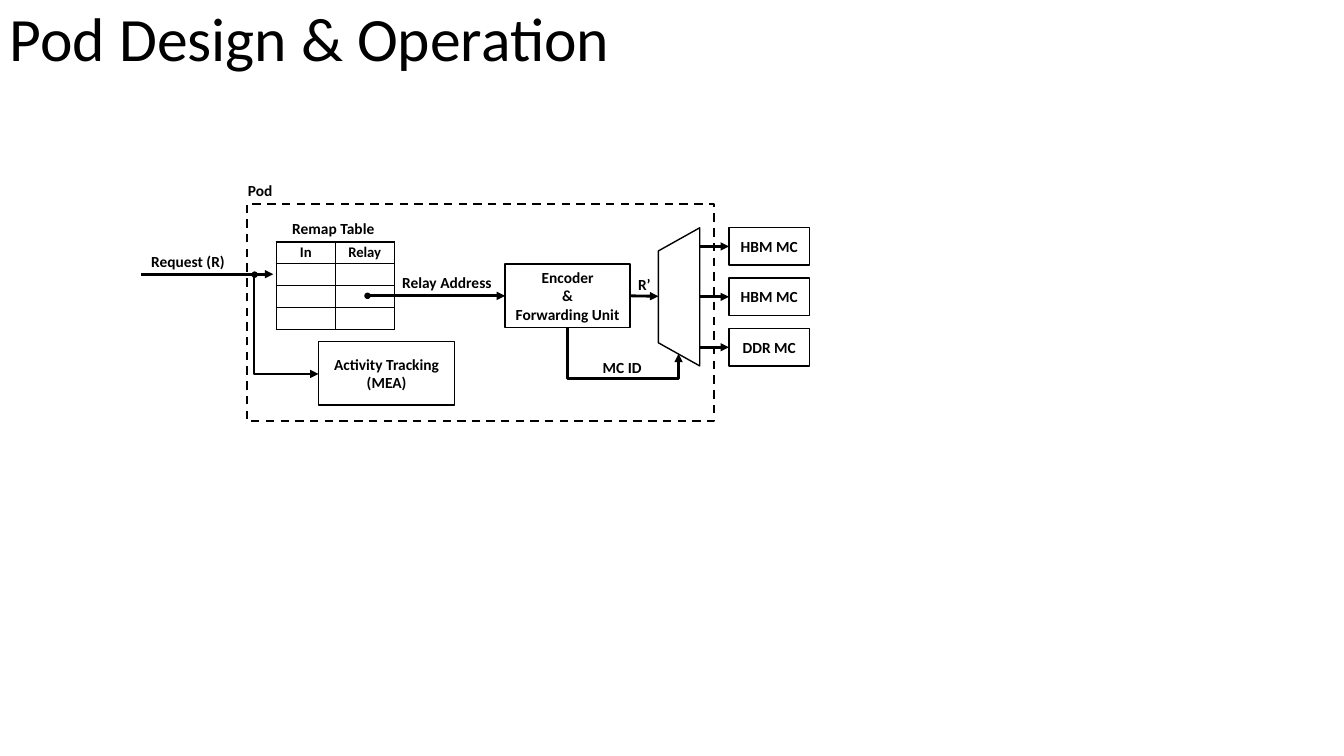
from dataclasses import dataclass
from typing import Optional

from lxml.etree import SubElement
from pptx import Presentation
from pptx.dml.color import RGBColor
from pptx.enum.dml import MSO_LINE_DASH_STYLE as Dash
from pptx.enum.shapes import MSO_CONNECTOR as Conn, MSO_SHAPE as Shape
from pptx.enum.text import MSO_ANCHOR as Anchor, PP_ALIGN as Align
from pptx.oxml import parse_xml
from pptx.oxml.ns import nsdecls, qn
from pptx.util import Inches, Length, Pt

BLACK = RGBColor(0x00, 0x00, 0x00)
FONT = "Calibri"
COLS, ROWS = 133.3, 75
PRS_W, PRS_H = Inches(13.33), Inches(7.5)
LABEL_H = 2.9


@dataclass
class Box:
    col: float
    row: float
    cols: float
    rows: float
    lines: tuple[str, ...] = ()
    kind: Shape = Shape.RECTANGLE
    weight: float = 1
    dashed: bool = False
    filled: bool = False


@dataclass
class Label:
    text: str
    col: float
    row: float
    cols: float


@dataclass
class Arrow:
    start: tuple[float, float]
    end: tuple[float, float]
    source: Optional[str] = None
    target: Optional[str] = None


@dataclass
class Elbow:
    col: float
    row: float
    cols: float
    rows: float
    preset: str
    bend: Optional[int] = None


MC_PITCH = 5
MC_NAMES = ("HBM MC", "HBM MC", "DDR MC")
MC_ROWS = [22.6 + i * MC_PITCH for i in range(len(MC_NAMES))]

BOXES = {
    "tracking": Box(31.6, 33.9, 13.5, 6.3, ("Activity Tracking", "(MEA)")),
    "encoder": Box(50.1, 26.2, 12.4, 6.3, ("Encoder", "&", "Forwarding Unit")),
    **{f"mc{i}": Box(72.3, row, 8, 3.7, (name,))
       for i, (name, row) in enumerate(zip(MC_NAMES, MC_ROWS))},
    "relay dot": Box(36.2, 29.1, 0.5, 0.5, kind=Shape.OVAL, filled=True),
    "request dot": Box(25, 27, 0.5, 0.5, kind=Shape.OVAL, filled=True),
    "pod": Box(24.5, 20.2, 46.3, 21.6, weight=1.5, dashed=True),
}
DEMUX = Box(60.5, 27.4, 13.7, 4.1, kind=Shape.TRAPEZOID)
LABELS = [
    Label("Remap Table", 28, 21.2, 12),
    Label("Request (R)", 14, 24.5, 10.5),
    Label("Relay Address", 38.9, 26.6, 12.4),
    Label("R’", 62.3, 26.8, 4),
    Label("MC ID", 58.8, 35, 6.7),
    Label("Pod", 23.6, 17.5, 10.5),
]
ARROWS = [
    Arrow((14, 27.2), (27.1, 27.2)),
    Arrow((36.7, 29.35), (50.1, 29.35), target="encoder"),
    Arrow((62.5, 29.35), (65.3, 29.4), source="encoder"),
    *(Arrow((69.4, row + 1.85), (72.3, row + 1.85), target=f"mc{i}")
      for i, row in enumerate(MC_ROWS)),
]
ELBOWS = [
    Elbow(23.5, 29, 9.8, 6.4, "bentConnector2"),
    Elbow(60.5, 28.3, 2.6, 11, "bentConnector3", 194500),
]


def x(cols: float) -> Length:
    return Length(round(PRS_W * cols / COLS))


def y(rows: float) -> Length:
    return Length(round(PRS_H * rows / ROWS))


def add_run(p, text: str, size: float, bold: bool = True) -> None:
    r = p.add_run()
    r.text = text
    r.font.name, r.font.size, r.font.bold = FONT, Pt(size), bold
    r.font.color.rgb = BLACK


def draw_box(shapes, box: Box):
    sp = shapes.add_shape(box.kind, x(box.col), y(box.row), x(box.cols), y(box.rows))
    sp.shadow.inherit = False
    if box.filled:
        sp.fill.solid()
        sp.fill.fore_color.rgb = BLACK
    else:
        sp.fill.background()
    sp.line.color.rgb, sp.line.width = BLACK, Pt(box.weight)
    if box.dashed:
        sp.line.dash_style = Dash.DASH
    tf = sp.text_frame
    tf.margin_left = tf.margin_right = 0
    tf.word_wrap, tf.vertical_anchor = True, Anchor.MIDDLE
    for i, line in enumerate(box.lines):
        p = tf.add_paragraph() if i else tf.paragraphs[0]
        p.alignment = Align.CENTER
        add_run(p, line, 11)
    return sp


def draw_label(shapes, label: Label) -> None:
    sp = shapes.add_textbox(x(label.col), y(label.row), x(label.cols), y(LABEL_H))
    sp.text_frame.word_wrap = True
    add_run(sp.text_frame.paragraphs[0], label.text, 11)


def style_arrow(cxn) -> None:
    cxn.line.color.rgb, cxn.line.width = BLACK, Pt(2)
    SubElement(cxn.line._get_or_add_ln(), qn("a:tailEnd"), type="triangle")
    SubElement(cxn._element.spPr, qn("a:effectLst"))


def draw_arrow(shapes, arrow: Arrow, drawn: dict) -> None:
    (c1, r1), (c2, r2) = arrow.start, arrow.end
    cxn = shapes.add_connector(Conn.STRAIGHT, x(c1), y(r1), x(c2), y(r2))
    if arrow.source:
        cxn.begin_connect(drawn[arrow.source], 3)
    if arrow.target:
        cxn.end_connect(drawn[arrow.target], 1)
    style_arrow(cxn)


def draw_elbow(shapes, elbow: Elbow) -> None:
    cxn = shapes.add_connector(Conn.ELBOW, x(elbow.col + elbow.cols), y(elbow.row),
                               x(elbow.col), y(elbow.row + elbow.rows))
    sp_pr = cxn._element.spPr
    sp_pr.find(qn("a:xfrm")).set("rot", str(270 * 60000))
    geom = sp_pr.find(qn("a:prstGeom"))
    geom.set("prst", elbow.preset)
    if elbow.bend:
        SubElement(geom.find(qn("a:avLst")), qn("a:gd"), name="adj1", fmla=f"val {elbow.bend}")
    style_arrow(cxn)


def draw_remap_table(shapes, header: tuple[str, ...], n_rows: int) -> None:
    col_w, row_h = x(5.85), y(2.17)
    table = shapes.add_table(n_rows, len(header), x(27.4), y(24),
                             col_w * len(header), row_h * n_rows).table
    table.first_row = table.horz_banding = False
    for column in table.columns:
        column.width = col_w
    for i, row in enumerate(table.rows):
        row.height = row_h
        for name, cell in zip(header, row.cells):
            cell.margin_left = cell.margin_right = Inches(0.04)
            cell.margin_top = cell.margin_bottom = Inches(0.02)
            cell.fill.background()
            for k, side in enumerate("LRTB"):
                cell._tc.tcPr.insert(k, parse_xml(
                    f'<a:ln{side} {nsdecls("a")} w="{Pt(1)}"><a:solidFill>'
                    f'<a:srgbClr val="{BLACK}"/></a:solidFill></a:ln{side}>'))
            p = cell.text_frame.paragraphs[0]
            p.alignment = Align.CENTER
            if i == 0:
                add_run(p, name, 10.5)
            else:
                SubElement(p._p, qn("a:endParaRPr"), sz="800")


def draw_title(shapes, text: str) -> None:
    tf = shapes.add_textbox(0, y(-3.1), x(115), y(14.5)).text_frame
    tf.word_wrap, tf.vertical_anchor = True, Anchor.MIDDLE
    p = tf.paragraphs[0]
    p.line_spacing = 0.9
    add_run(p, text, 44, bold=False)


def main() -> None:
    prs = Presentation()
    prs.slide_width, prs.slide_height = PRS_W, PRS_H
    shapes = prs.slides.add_slide(prs.slide_layouts[6]).shapes
    draw_title(shapes, "Pod Design & Operation")
    draw_remap_table(shapes, ("In", "Relay"), 4)
    drawn = {name: draw_box(shapes, box) for name, box in BOXES.items()}
    demux = draw_box(shapes, DEMUX)
    demux.rotation, demux.adjustments[0] = 270, 0.56
    for arrow in ARROWS:
        draw_arrow(shapes, arrow, drawn)
    for elbow in ELBOWS:
        draw_elbow(shapes, elbow)
    for label in LABELS:
        draw_label(shapes, label)
    prs.save("out.pptx")


if __name__ == "__main__":
    main()
